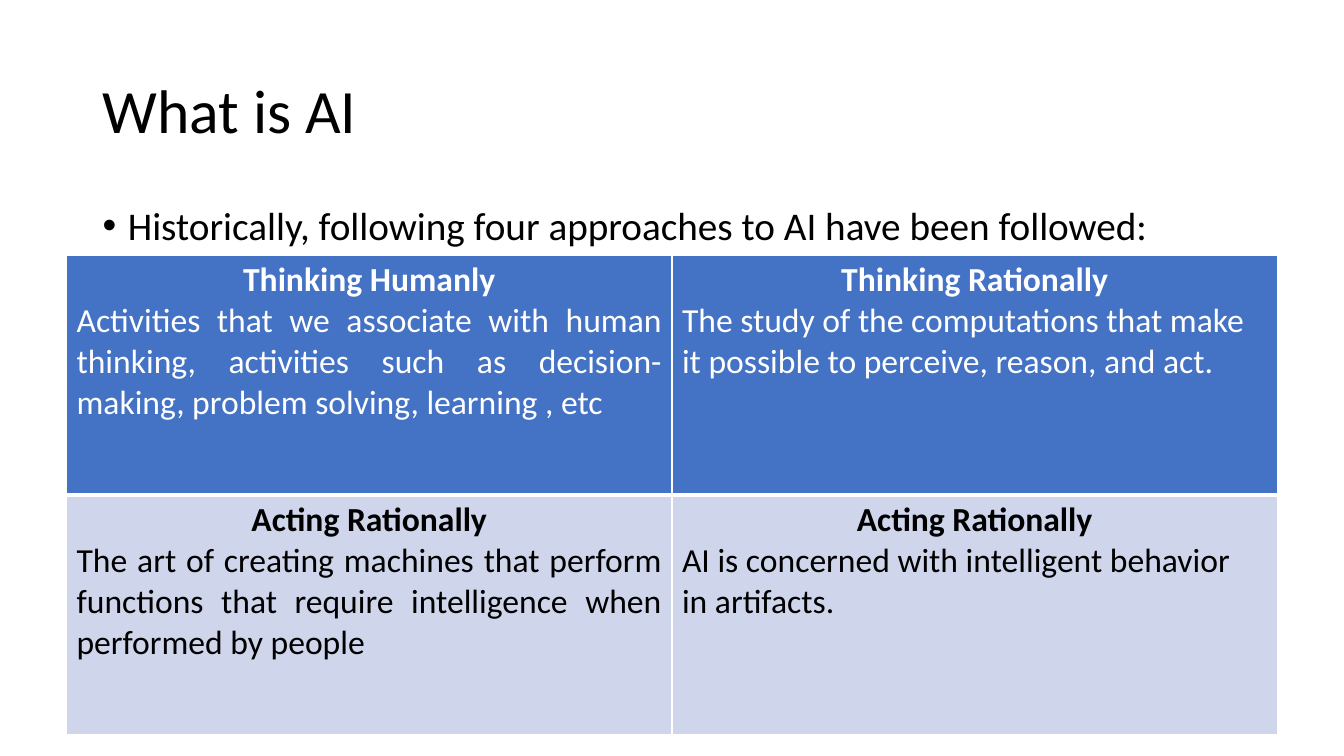
from dataclasses import dataclass

from lxml import etree
from pptx import Presentation
from pptx.dml.color import RGBColor
from pptx.enum import text
from pptx.oxml import ns
from pptx.util import Inches, Pt


@dataclass(frozen=True)
class Theme:
    font: str = "Calibri"
    ink: str = "000000"
    paper: str = "FFFFFF"
    header: str = "4472C4"
    band: str = "CFD5EA"
    title: int = 44
    body: int = 28
    cell: int = 24
    thin: int = 1
    thick: int = 3


THEME = Theme()

APPROACHES = [
    [
        ("Thinking Humanly", [
            "Activities that we associate with human thinking, activities such as "
            "decision-making, problem solving, learning , etc",
        ]),
        ("Thinking Rationally", [
            "The study of the computations that make",
            "it possible to perceive, reason, and act.",
        ]),
    ],
    [
        ("Acting Rationally", [
            "The art of creating machines that perform functions that require "
            "intelligence when performed by people",
        ]),
        ("Acting Rationally", [
            "AI is concerned with intelligent behavior",
            "in artifacts.",
        ]),
    ],
]


def write(paragraph, words, size, color=THEME.ink, bold=False, align=None,
          line_spacing=None, space_before=None):
    paragraph.alignment = align
    paragraph.line_spacing = line_spacing
    paragraph.space_before = space_before
    run = paragraph.add_run()
    run.text = words
    run.font.name = THEME.font
    run.font.size = Pt(size)
    run.font.bold = bold
    run.font.color.rgb = RGBColor.from_string(color)


def add_frame(slide, box, anchor):
    frame = slide.shapes.add_textbox(*map(Inches, box)).text_frame
    frame.word_wrap = True
    frame.vertical_anchor = anchor
    return frame


def add_bullet(paragraph, indent):
    properties = paragraph._p.get_or_add_pPr()
    properties.set("marL", str(Inches(indent)))
    properties.set("indent", str(Inches(-indent)))
    etree.SubElement(properties, ns.qn("a:buFont"), typeface="Arial")
    etree.SubElement(properties, ns.qn("a:buChar"), char="•")


def add_borders(cell, widths):
    properties = cell._tc.get_or_add_tcPr()
    for position, (side, width) in enumerate(widths.items()):
        line = etree.Element(ns.qn(f"a:ln{side}"), w=str(Pt(width)))
        fill = etree.SubElement(line, ns.qn("a:solidFill"))
        etree.SubElement(fill, ns.qn("a:srgbClr"), val=THEME.paper)
        properties.insert(position, line)


def add_title(slide, box):
    frame = add_frame(slide, box, text.MSO_ANCHOR.MIDDLE)
    write(frame.paragraphs[0], "What is AI", THEME.title, line_spacing=0.9)


def add_introduction(slide, box):
    introduction = add_frame(slide, box, text.MSO_ANCHOR.TOP).paragraphs[0]
    write(introduction,
          "Historically, following four approaches to AI have been followed:",
          THEME.body, line_spacing=0.9, space_before=Pt(10))
    add_bullet(introduction, 0.25)


def fill_approach(cell, heading, lines, is_header):
    color = THEME.paper if is_header else THEME.ink
    cell.fill.solid()
    cell.fill.fore_color.rgb = RGBColor.from_string(
        THEME.header if is_header else THEME.band)
    add_borders(cell, {
        "L": THEME.thin,
        "R": THEME.thin,
        "T": THEME.thin if is_header else THEME.thick,
        "B": THEME.thick if is_header else THEME.thin,
    })
    frame = cell.text_frame
    write(frame.paragraphs[0], heading, THEME.cell, color=color, bold=True,
          align=text.PP_ALIGN.CENTER)
    for line in lines:
        write(frame.add_paragraph(), line, THEME.cell, color=color,
              align=text.PP_ALIGN.JUSTIFY)


def add_approaches(slide, box):
    row_count, column_count = len(APPROACHES), len(APPROACHES[0])
    grid = slide.shapes.add_table(
        row_count, column_count, *map(Inches, box)).table
    for column in grid.columns:
        column.width = Inches(box[2] / column_count)
    for row in grid.rows:
        row.height = Inches(box[3] / row_count)
    for row_index, approaches in enumerate(APPROACHES):
        for column_index, (heading, lines) in enumerate(approaches):
            fill_approach(grid.cell(row_index, column_index), heading, lines,
                          is_header=row_index == 0)


def main():
    deck = Presentation()
    deck.slide_width, deck.slide_height = Inches(13.33), Inches(7.5)
    slide = deck.slides.add_slide(deck.slide_layouts[6])
    add_title(slide, (0.92, 0.4, 11.5, 1.45))
    add_introduction(slide, (0.92, 2, 11.5, 4.76))
    add_approaches(slide, (0.66, 2.53, 12.01, 4.76))
    deck.save("out.pptx")


if __name__ == "__main__":
    main()
